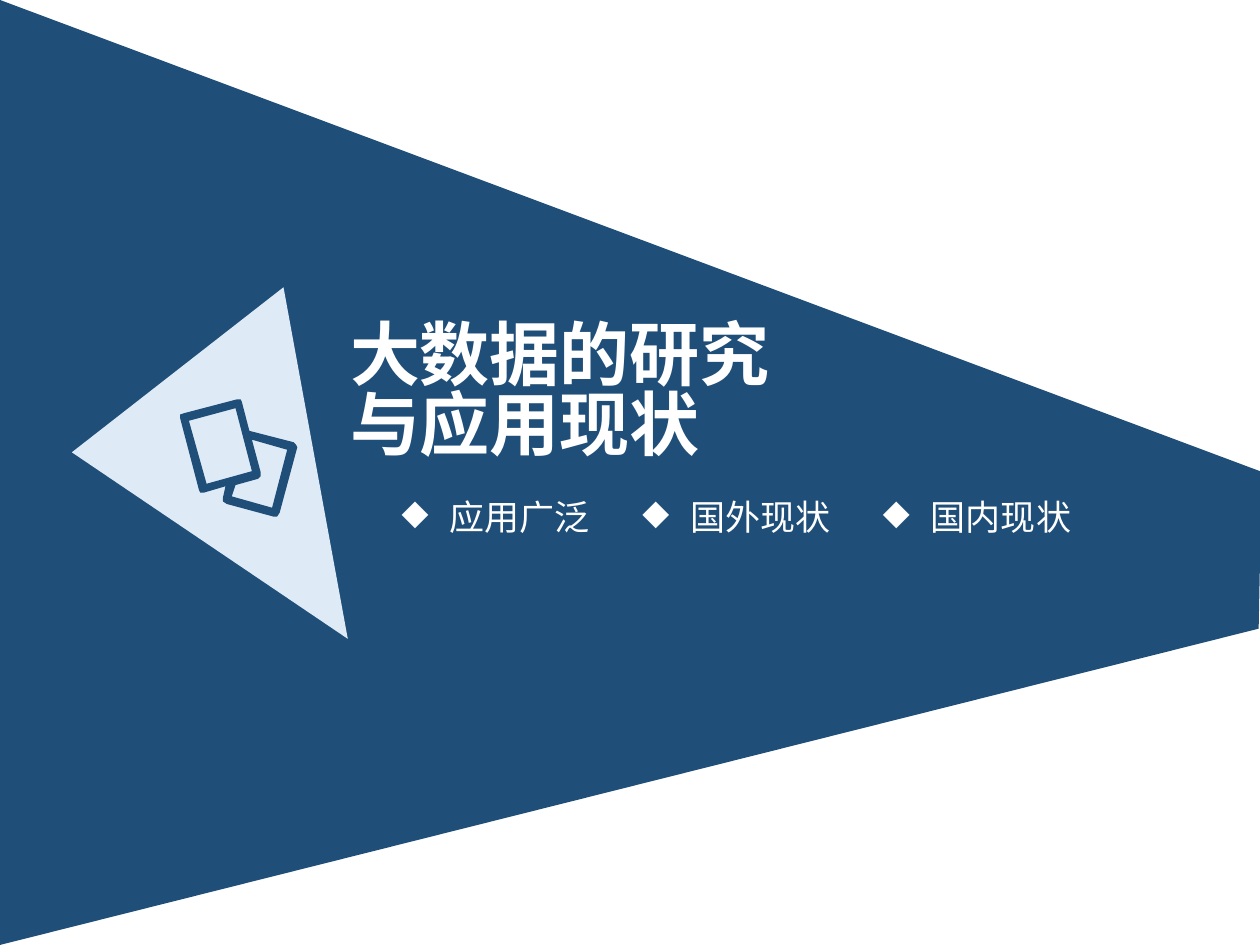
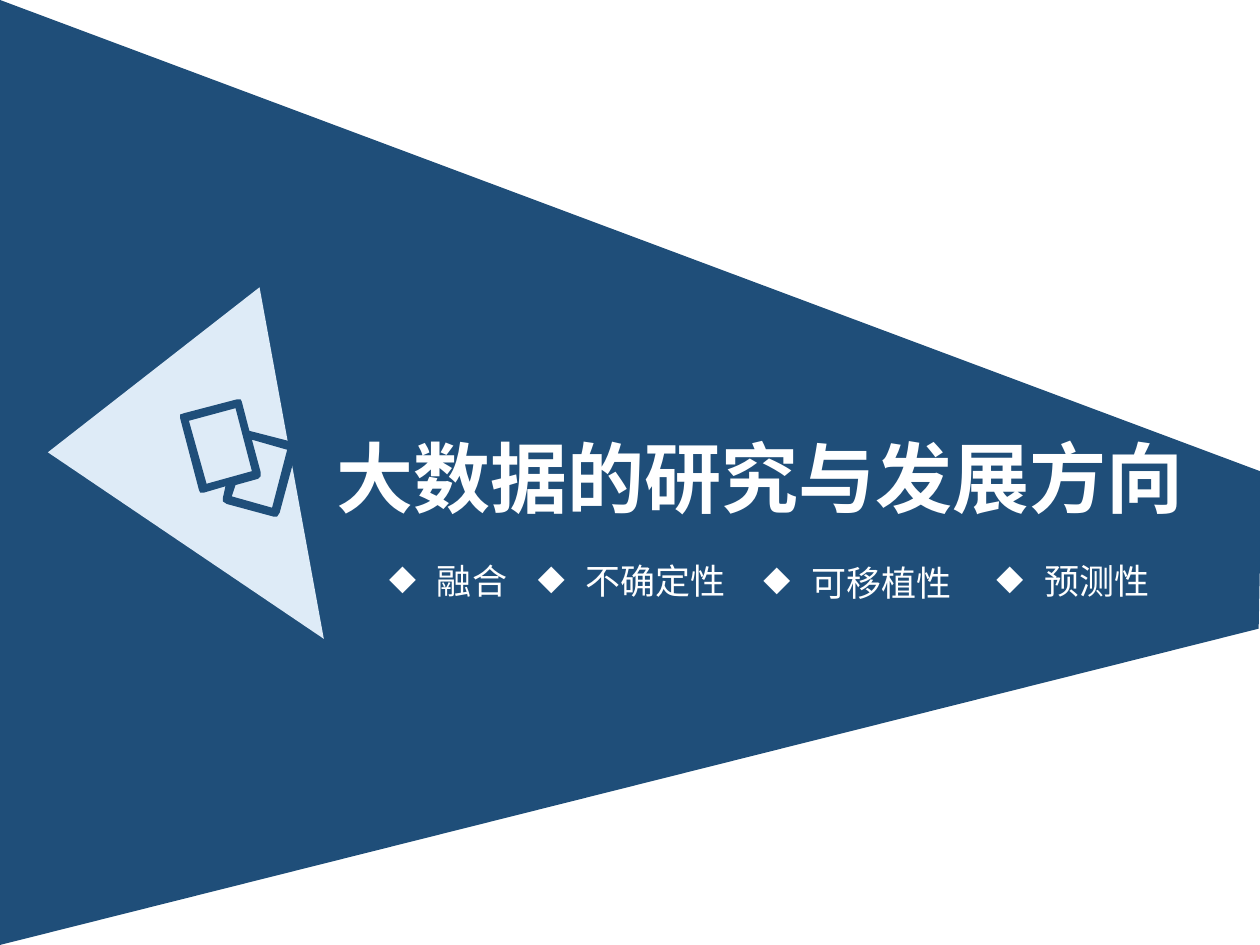
from dataclasses import dataclass

from lxml.etree import SubElement
from pptx import Presentation
from pptx.dml.color import RGBColor
from pptx.enum.text import MSO_ANCHOR
from pptx.oxml.ns import qn
from pptx.slide import Slide
from pptx.text.text import _Paragraph
from pptx.util import Inches, Pt

NAVY = RGBColor(0x1F, 0x4E, 0x79)
PALE_BLUE = RGBColor(0xDE, 0xEB, 0xF7)
WHITE = RGBColor(0xFF, 0xFF, 0xFF)
FONT_NAME = "Noto Sans CJK SC"

Outline = list[tuple[float, float]]

# Outlines in slide inches
BAND: Outline = [(0, 0), (10, 3.74), (10, 4.47), (9.99, 4.99), (0, 7.5)]
TRIANGLE: Outline = [(0, 3.59), (1.68, 2.28), (2.19, 5.07)]
CARDS: list[Outline] = [
    # Outer edge of both cards, with softened corners
    [(2.33, 3.51), (1.98, 3.42), (1.92, 3.19), (1.91, 3.17), (1.88, 3.17),
     (1.46, 3.28), (1.43, 3.29), (1.43, 3.32), (1.58, 3.89), (1.59, 3.91),
     (1.62, 3.91), (1.79, 3.86), (1.77, 3.95), (1.77, 3.98), (1.8, 4),
     (2.17, 4.1), (2.2, 4.1), (2.22, 4.07), (2.36, 3.55), (2.35, 3.53)],
    # Opening of the front card
    [(1.5, 3.34), (1.87, 3.24), (2, 3.74), (1.64, 3.84)],
    # Opening of the rear card
    [(2.16, 4.03), (1.84, 3.94), (1.87, 3.85), (2.05, 3.8), (2.07, 3.78),
     (2.07, 3.75), (2, 3.49), (2.28, 3.57)],
]


@dataclass(frozen=True)
class Title:
    lines: list[str]
    left: float
    top: float
    width: float
    height: float
    size: int
    line_spacing: float = 1.0


@dataclass(frozen=True)
class Topic:
    text: str
    left: float
    top: float
    width: float = 1.7


@dataclass(frozen=True)
class Section:
    triangle_left: float
    title: Title
    topics: list[Topic]


SECTIONS = [
    Section(
        0.57,
        Title(["大数据的研究", "与应用现状"], 2.68, 2.39, 3.72, 1.48, 40, 0.83),
        [Topic(text, 3.09 + 1.91 * index, 3.88)
         for index, text in enumerate(["应用广泛", "国外现状", "国内现状"])],
    ),
    Section(
        0.38,
        Title(["大数据的研究与发展方向"], 2.57, 3.36, 6.99, 0.84, 44),
        [Topic("融合", 2.99, 4.39, 1.14),
         Topic("不确定性", 4.17, 4.39),
         Topic("可移植性", 5.96, 4.4),
         Topic("预测性", 7.81, 4.39, 1.46)],
    ),
]


def add_outline(slide: Slide, contours: list[Outline], color: RGBColor,
                left: float = 0) -> None:
    """Draw closed contours as one filled shape; inner contours are holes."""
    points = [[(Inches(left + x), Inches(y)) for x, y in contour]
              for contour in contours]
    builder = slide.shapes.build_freeform(*points[0][0])
    for index, contour in enumerate(points):
        if index:
            builder.move_to(*contour[0])
        builder.add_line_segments(contour[1:], close=True)
    shape = builder.convert_to_shape()
    shape.shadow.inherit = False
    shape.fill.solid()
    shape.fill.fore_color.rgb = color
    shape.line.fill.background()


def add_text(slide: Slide, lines: list[str], left: float, top: float,
             width: float, height: float) -> list[_Paragraph]:
    """Add a vertically centred text box and return its paragraphs."""
    box = slide.shapes.add_textbox(
        Inches(left), Inches(top), Inches(width), Inches(height))
    frame = box.text_frame
    frame.word_wrap = True
    frame.vertical_anchor = MSO_ANCHOR.MIDDLE
    frame.margin_top = frame.margin_bottom = frame.margin_right = 0
    frame.text = "\n".join(lines)
    return list(frame.paragraphs)


def style_paragraph(paragraph: _Paragraph, size: int, bold: bool = False) -> None:
    font = paragraph.font
    font.size = Pt(size)
    font.bold = bold
    font.color.rgb = WHITE
    font.name = FONT_NAME
    # East Asian typeface
    properties = paragraph._p.get_or_add_pPr().find(qn("a:defRPr"))
    SubElement(properties, qn("a:ea")).set("typeface", FONT_NAME)


def add_title(slide: Slide, title: Title) -> None:
    for paragraph in add_text(slide, title.lines, title.left, title.top,
                              title.width, title.height):
        paragraph.line_spacing = title.line_spacing
        style_paragraph(paragraph, title.size, bold=True)


def add_topic(slide: Slide, topic: Topic) -> None:
    paragraph = add_text(slide, [topic.text], topic.left, topic.top,
                         topic.width, 0.44)[0]
    # Diamond bullet with a hanging indent
    properties = paragraph._p.get_or_add_pPr()
    properties.set("marL", str(Inches(0.38)))
    properties.set("indent", str(-Inches(0.38)))
    SubElement(properties, qn("a:buChar")).set("char", "◆")
    style_paragraph(paragraph, 20)


def add_section(presentation: Presentation, section: Section) -> None:
    slide = presentation.slides.add_slide(presentation.slide_layouts[6])
    add_outline(slide, [BAND], NAVY)
    add_outline(slide, [TRIANGLE], PALE_BLUE, section.triangle_left)
    add_outline(slide, CARDS, NAVY)
    add_title(slide, section.title)
    for topic in section.topics:
        add_topic(slide, topic)


def main() -> None:
    presentation = Presentation()
    presentation.slide_width = Inches(10)
    presentation.slide_height = Inches(7.5)
    for section in SECTIONS:
        add_section(presentation, section)
    presentation.save("out.pptx")


if __name__ == "__main__":
    main()
